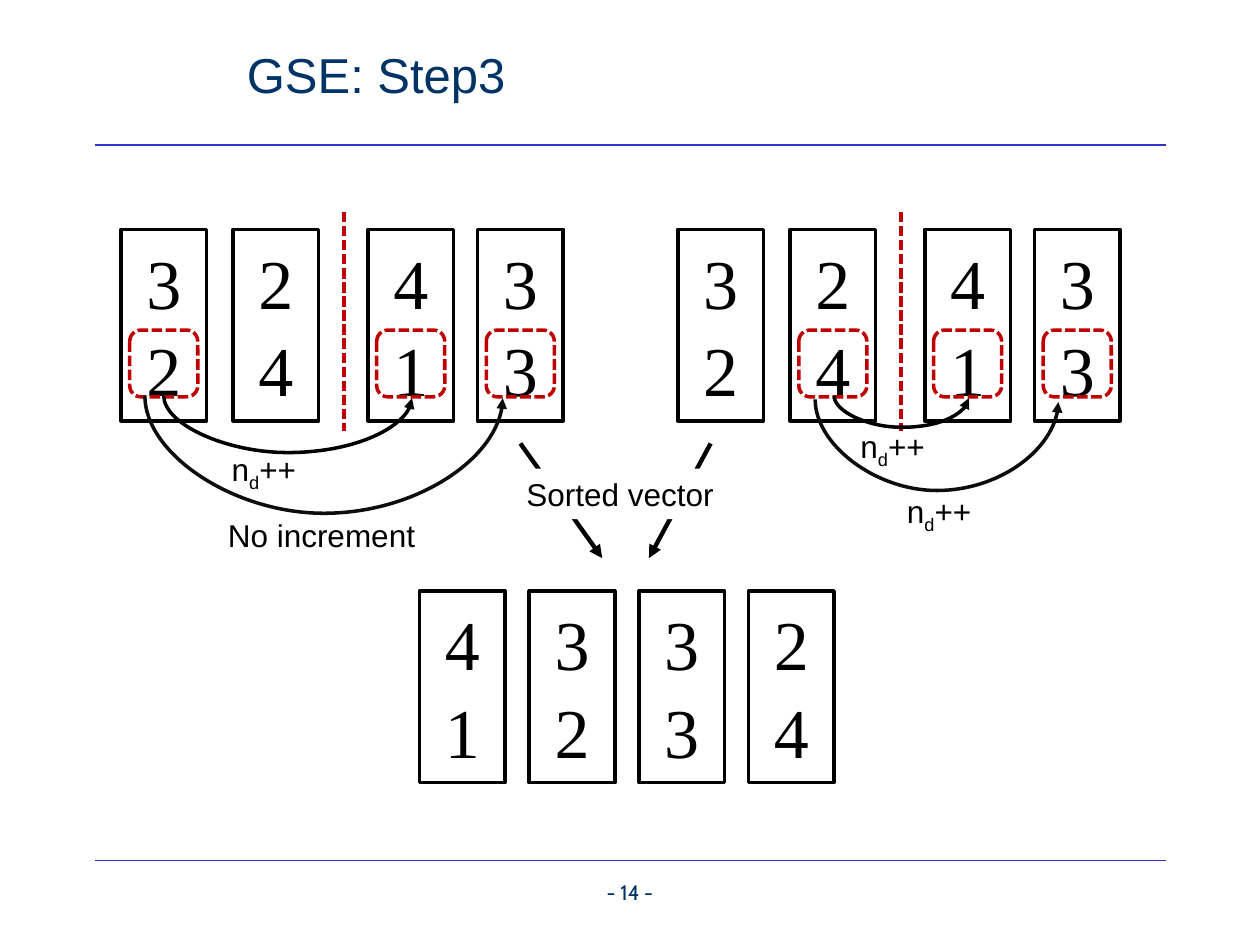
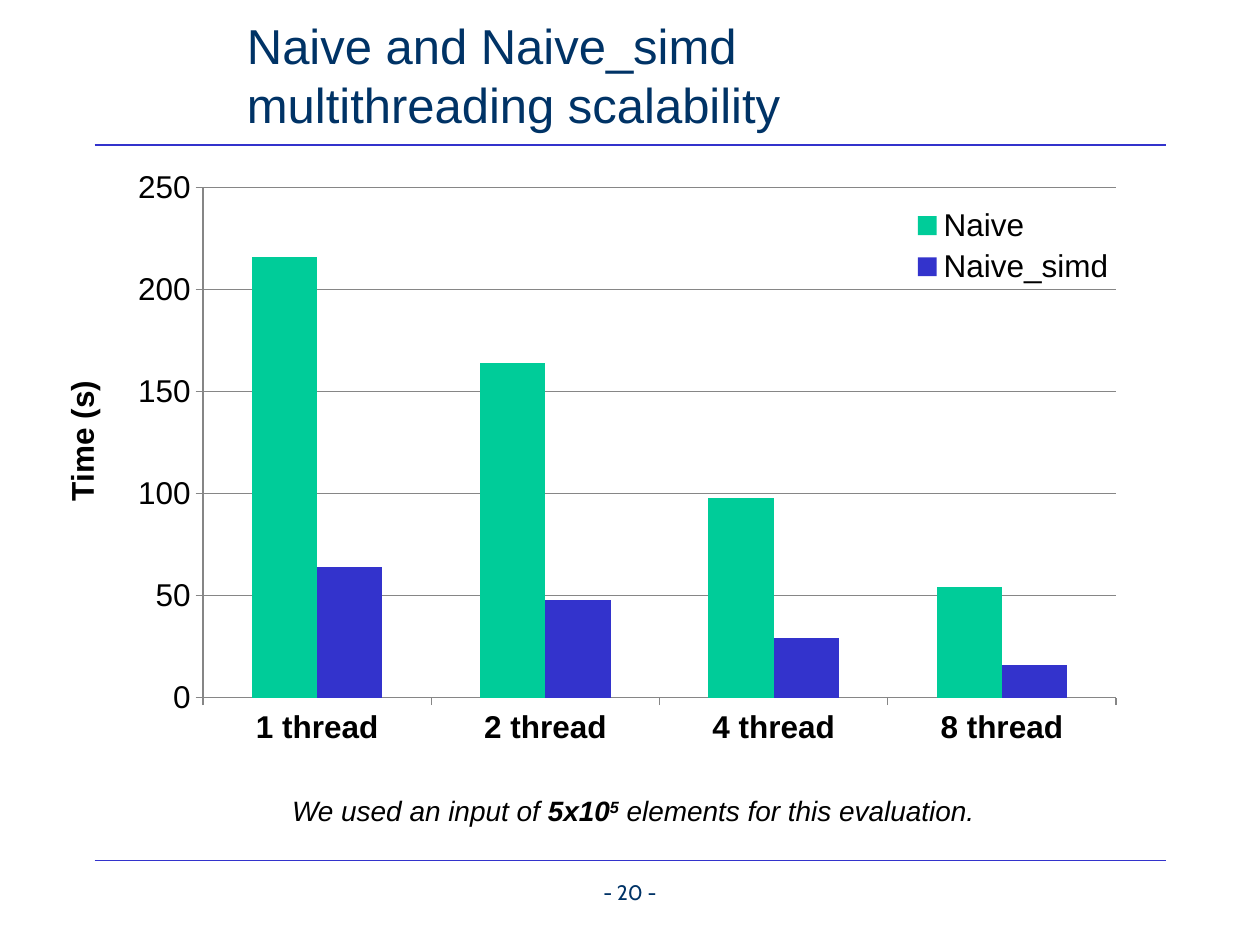
"""Builds two slides: sorting step diagram and multithreading column chart."""
from lxml import etree
from pptx import Presentation
from pptx.chart.data import CategoryChartData
from pptx.dml.color import RGBColor
from pptx.enum.chart import XL_CHART_TYPE, XL_LEGEND_POSITION, XL_TICK_MARK
from pptx.enum.dml import MSO_LINE
from pptx.enum.shapes import MSO_CONNECTOR, MSO_SHAPE
from pptx.enum.text import MSO_ANCHOR, MSO_AUTO_SIZE, PP_ALIGN
from pptx.oxml.ns import qn
from pptx.util import Inches, Pt

STRAIGHT, CURVE = MSO_CONNECTOR.STRAIGHT, MSO_CONNECTOR.CURVE
RECT, ROUND_RECT = MSO_SHAPE.RECTANGLE, MSO_SHAPE.ROUNDED_RECTANGLE
DASH = MSO_LINE.SQUARE_DOT
LEFT, CENTER = PP_ALIGN.LEFT, PP_ALIGN.CENTER
MIDDLE = MSO_ANCHOR.MIDDLE
TICK_OUT = XL_TICK_MARK.OUTSIDE

HEX = {"navy": "003366", "blue": "3333CC", "green": "00CC99", "red": "C00000",
       "black": "000000", "ink": "0D0D0D", "white": "FFFFFF", "grey": "868686"}
COLORS = {name: RGBColor.from_string(value) for name, value in HEX.items()}

prs = Presentation()
prs.slide_width, prs.slide_height = Inches(10), Inches(7.5)
CELL = prs.slide_width // 100


def cells(*lengths):
    """Turn lengths on the 100 by 75 grid into slide units."""
    return [round(n * CELL) for n in lengths]


def line(s, ends, color, width, dash=None, arrow=False, kind=STRAIGHT):
    """Draw a connector between two grid points."""
    c = s.shapes.add_connector(kind, *cells(*ends))
    c.line.color.rgb = COLORS[color]
    c.line.width = Pt(width)
    if dash:
        c.line.dash_style = dash
    spPr = c._element.spPr
    if arrow:
        etree.SubElement(spPr.find(qn("a:ln")), qn("a:tailEnd"), type="triangle")
    etree.SubElement(spPr, qn("a:effectLst"))
    return c


slides = []
for title in ("GSE: Step3", "Naive and Naive_simd multithreading scalability"):
    s = prs.slides.add_slide(prs.slide_layouts[5])
    for y in (68.3, 11.5):
        line(s, (7.5, y, 92.5, y), "blue", 0.75)
    sp = s.shapes.title
    sp.left, sp.top, sp.width, sp.height = cells(18.6, 1.3, 62.1, 9.2)
    tf = sp.text_frame
    tf.text = title
    tf.word_wrap, tf.auto_size, tf.vertical_anchor = True, MSO_AUTO_SIZE.NONE, MIDDLE
    p = tf.paragraphs[0]
    p.alignment = LEFT
    font = p.runs[0].font
    font.name, font.size, font.color.rgb = "Arial", Pt(28), COLORS["navy"]
    slides.append(s)
step, scaling = slides

CARD_W, CARD_H = 6.8, 15.2
MARK_W, MARK_H = 5.4, 5.3
TOP_ROW, MARK_ROW, SORTED_ROW = 18.2, 26.2, 46.9
PAIR_COLS = (9.6, 18.5, 29.2, 37.9)
PAIR_SHIFT = 44.2
VECTOR = ("32", "24", "41", "33")
groups = [
    (PAIR_COLS, TOP_ROW, VECTOR, (0, 2, 3)),
    ([x + PAIR_SHIFT for x in PAIR_COLS], TOP_ROW, VECTOR, (1, 2, 3)),
    ([33.3 + 8.7 * i for i in range(4)], SORTED_ROW, ("41", "32", "33", "24"), ()),
]
for cols, row, cards, marked in groups:
    for x, digits in zip(cols, cards):
        sp = step.shapes.add_shape(RECT, *cells(x, row, CARD_W, CARD_H))
        sp.shadow.inherit = False
        sp.fill.solid()
        sp.fill.fore_color.rgb = COLORS["white"]
        sp.line.color.rgb, sp.line.width = COLORS["black"], Pt(2)
        tf = sp.text_frame
        tf.text = "\n".join(digits)
        tf.vertical_anchor = MIDDLE
        tf.paragraphs[1].space_before = Pt(2)
        for p in tf.paragraphs:
            p.alignment = CENTER
            font = p.runs[0].font
            font.name, font.size = "Times New Roman", Pt(40)
            font.color.rgb = COLORS["black"]
    for i in marked:
        x = cols[i] + (CARD_W - MARK_W) / 2
        sp = step.shapes.add_shape(ROUND_RECT, *cells(x, MARK_ROW, MARK_W, MARK_H))
        sp.shadow.inherit = False
        sp.fill.background()
        sp.line.color.rgb, sp.line.width = COLORS["red"], Pt(2)
        sp.line.dash_style = DASH
    if marked:
        split = cols[0] + 17.7
        line(step, (split, 16.8, split, 34.2), "red", 2, DASH)

ARC_RISE = 0.2
arcs = [(13, 32.7, 31.4, 4.5, "black"), (11.5, 39.9, 31.4, 9.3, "ink"),
        (66.2, 76.9, 31.4, 2.5, "black"), (64.7, 84, 31.7, 7.2, "ink")]
for x1, x2, y, depth, color in arcs:
    left = (x1 + x2 - ARC_RISE) / 2
    top = y + (ARC_RISE - (x2 - x1)) / 2
    c = line(step, (left, top, left + ARC_RISE, top + x2 - x1), color, 2,
             arrow=True, kind=CURVE)
    xfrm = c._element.spPr.find(qn("a:xfrm"))
    xfrm.set("rot", "16200000")
    xfrm.set("flipH", "1")
    avLst = c._element.spPr.find(qn("a:prstGeom")).find(qn("a:avLst"))
    etree.SubElement(avLst, qn("a:gd"), name="adj1",
                     fmla=f"val {round(depth / ARC_RISE * 100000)}")

for ends in ((41.3, 35.2, 47.8, 44.3), (56.4, 35.2, 51.5, 44.3)):
    line(step, ends, "black", 2.5, arrow=True)

data = CategoryChartData()
data.categories = [f"{n} thread" for n in (1, 2, 4, 8)]
data.add_series("Naive", (216, 164, 98, 54))
data.add_series("Naive_simd", (64, 48, 29, 16))
chart = scaling.shapes.add_chart(XL_CHART_TYPE.COLUMN_CLUSTERED,
                                 *cells(6.7, 13.5, 88.8, 49.9), data).chart
chart.has_title = False
chart.font.name, chart.font.size = "Arial", Pt(18)
chart.font.color.rgb = COLORS["black"]
plot = chart.plots[0]
plot.gap_width, plot.overlap, plot.vary_by_categories = 150, 0, False
for series, color in zip(plot.series, ("green", "blue")):
    series.format.fill.solid()
    series.format.fill.fore_color.rgb = COLORS[color]
cat_axis, val_axis = chart.category_axis, chart.value_axis
val_axis.minimum_scale, val_axis.maximum_scale, val_axis.major_unit = 0, 250, 50
val_axis.has_major_gridlines = True
cat_axis.tick_labels.font.bold = True
for axis in (cat_axis, val_axis):
    axis.major_tick_mark = TICK_OUT
for part in (cat_axis, val_axis, val_axis.major_gridlines):
    part.format.line.color.rgb, part.format.line.width = COLORS["grey"], Pt(0.75)
chart.has_legend = True
legend = chart.legend
legend.position, legend.include_in_layout = XL_LEGEND_POSITION.RIGHT, False

plot_area = chart._chartSpace.chart.plotArea
for element, target, shares in ((plot_area, "inner", (0.106, 0.027, 0.816, 0.812)),
                                (legend._element, None, (0.73, 0.05, 0.2, 0.14))):
    for old in element.findall(qn("c:layout")):
        element.remove(old)
    layout = etree.Element(qn("c:layout"))
    manual = etree.SubElement(layout, qn("c:manualLayout"))
    if target:
        etree.SubElement(manual, qn("c:layoutTarget"), val=target)
    for tag in ("xMode", "yMode"):
        etree.SubElement(manual, qn(f"c:{tag}"), val="edge")
    for tag, share in zip("xywh", shares):
        etree.SubElement(manual, qn(f"c:{tag}"), val=str(share))
    element.insert(0 if target else 1, layout)

COUNT = [("n", ""), ("d", "sub"), ("++", "")]
NOTE = [("We used an input of ", "i"), ("5x10", "i b"), ("5", "i b super"),
        (" elements for this evaluation.", "i")]
BASELINES = {"sub": "-25000", "super": "30000"}
texts = [
    (step, (44.7, 69.3, 10.6, 2.5), [("- 14 -", "")], 12, "Cabin", "navy", CENTER),
    (scaling, (44.7, 69.3, 10.6, 2.5), [("- 20 -", "")], 12, "Cabin", "navy", CENTER),
    (step, (17.4, 35.2, 7.3, 4), COUNT, 18, "Arial", "black", LEFT),
    (step, (67.3, 33.4, 7.3, 4), COUNT, 18, "Arial", "black", LEFT),
    (step, (71, 38.6, 7.3, 4), COUNT, 18, "Arial", "black", LEFT),
    (step, (17.1, 40.5, 17, 4), [("No increment", "")], 18, "Arial", "black", LEFT),
    (step, (40.8, 37.2, 18.1, 4), [("Sorted vector", "fill")], 18, "Arial", "black", LEFT),
    (scaling, (-3.1, 29.2, 19.1, 4), [("Time (s)", "b turn")], 18, "Arial", "black", LEFT),
    (scaling, (22.2, 62.5, 58.5, 3.7), NOTE, 16, "Arial", "black", LEFT),
]
for s, box, runs, size, face, color, align in texts:
    sp = s.shapes.add_textbox(*cells(*box))
    tf = sp.text_frame
    tf.word_wrap = True
    p = tf.paragraphs[0]
    p.alignment = align
    for text, style in runs:
        marks = style.split()
        r = p.add_run()
        r.text = text
        r.font.name, r.font.size, r.font.color.rgb = face, Pt(size), COLORS[color]
        r.font.bold, r.font.italic = "b" in marks, "i" in marks
        for mark in marks:
            if mark in BASELINES:
                r._r.get_or_add_rPr().set("baseline", BASELINES[mark])
        if "fill" in marks:
            sp.fill.solid()
            sp.fill.fore_color.rgb = COLORS["white"]
        if "turn" in marks:
            sp.rotation = 270

prs.save("out.pptx")
